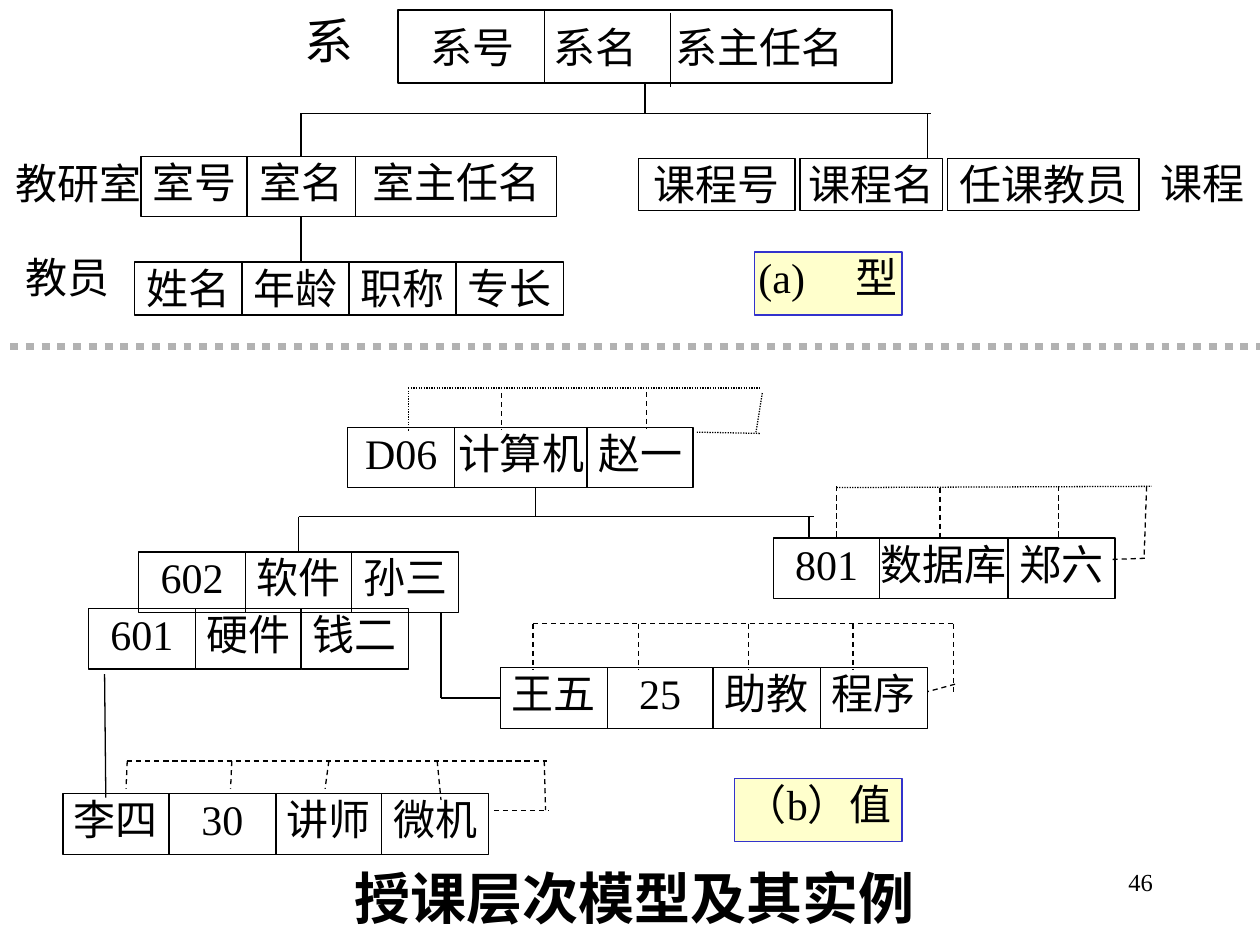
from lxml import etree
from pptx import Presentation
from pptx.dml.color import RGBColor
from pptx.enum.dml import MSO_LINE
from pptx.enum.shapes import MSO_CONNECTOR, MSO_SHAPE
from pptx.enum.text import MSO_ANCHOR, MSO_AUTO_SIZE, PP_ALIGN
from pptx.oxml.ns import qn
from pptx.util import Inches, Pt

FONT = "Times New Roman"
BLACK = "000000"
LEFT, CENTER, RIGHT = PP_ALIGN.LEFT, PP_ALIGN.CENTER, PP_ALIGN.RIGHT
TOP, MIDDLE = MSO_ANCHOR.TOP, MSO_ANCHOR.MIDDLE
DOT, DASH = MSO_LINE.ROUND_DOT, MSO_LINE.DASH
SIDE_TOP, SIDE_LEFT, SIDE_BOTTOM = 0, 1, 2
TITLE_ONLY = 5


def color(hex_code):
    return RGBColor.from_string(hex_code)


def write(shape, text, size=24, align=CENTER, anchor=TOP, bold=False, wrap=True, indent=0, tabs=()):
    frame = shape.text_frame
    frame.auto_size = MSO_AUTO_SIZE.NONE
    frame.word_wrap = wrap
    frame.vertical_anchor = anchor
    frame.margin_left = Inches(indent)
    frame.margin_top = frame.margin_right = frame.margin_bottom = 0
    paragraph = frame.paragraphs[0]
    paragraph.text = text
    paragraph.alignment = align
    if tabs:
        properties = paragraph._p.get_or_add_pPr()
        tab_list = etree.SubElement(properties, qn("a:tabLst"))
        for position, kind in tabs:
            etree.SubElement(tab_list, qn("a:tab"), pos=str(Inches(position)), algn=kind)
    paragraph.font.name = FONT
    paragraph.font.size = Pt(size)
    paragraph.font.bold = bold
    paragraph.font.color.rgb = color(BLACK)


def add_label(slide, left, top, width, height, text, **style):
    label = slide.shapes.add_textbox(Inches(left), Inches(top), Inches(width), Inches(height))
    write(label, text, **style)


def add_box(slide, left, top, width, height, text, fill=None, line=BLACK, **style):
    box = slide.shapes.add_shape(
        MSO_SHAPE.RECTANGLE, Inches(left), Inches(top), Inches(width), Inches(height))
    box.shadow.inherit = False
    if fill:
        box.fill.solid()
        box.fill.fore_color.rgb = color(fill)
    else:
        box.fill.background()
    box.line.color.rgb = color(line)
    box.line.width = Pt(0.75)
    write(box, text, **style)
    return box


def add_caption(slide, left, top, width, text, **style):
    add_box(slide, left, top, width, 0.5, text, fill="FFFFCC", line="3333CC", **style)


def add_record(slide, left, top, height, fields, gap=0):
    boxes = []
    for text, width in fields:
        boxes.append(add_box(slide, left, top, width, height, text, wrap=False))
        left += width + gap
    return boxes


def add_line(slide, x1, y1, x2, y2, dash=None, line=BLACK, weight=0.75, begin=None, end=None):
    connector = slide.shapes.add_connector(
        MSO_CONNECTOR.STRAIGHT, Inches(x1), Inches(y1), Inches(x2), Inches(y2))
    connector.line.color.rgb = color(line)
    connector.line.width = Pt(weight)
    if dash:
        connector.line.dash_style = dash
    etree.SubElement(connector._element.spPr, qn("a:effectLst"))
    if begin:
        connector.begin_connect(*begin)
    if end:
        connector.end_connect(*end)


def add_pointer_chain(slide, left, top, segments):
    for x1, y1, x2, y2, dash in segments:
        add_line(slide, left + x1, top + y1, left + x2, top + y2, dash)


def add_type_region(slide, left, top):
    department = add_box(slide, left + 3.16, top + 0.08, 3.92, 0.58, "系号\t系名\t系主任名",
                         align=LEFT, anchor=MIDDLE, indent=0.26, tabs=((0.97, "l"), (1.94, "l")))
    add_line(slide, left + 4.32, top + 0.08, left + 4.32, top + 0.67)
    add_line(slide, left + 5.32, top + 0.1, left + 5.32, top + 0.69)
    office = add_record(slide, left + 1.12, top + 1.24, 0.48,
                        (("室号", 0.84), ("室名", 0.86), ("室主任名", 1.6)))
    add_record(slide, left + 5.07, top + 1.26, 0.41,
               (("课程号", 1.24), ("课程名", 1.13), ("任课教员", 1.52)), gap=0.04)
    add_record(slide, left + 1.07, top + 2.08, 0.42,
               [(text, 0.85) for text in ("姓名", "年龄", "职称", "专长")])

    add_label(slide, left + 2.32, top + 0.08, 0.58, 0.58, "系", size=28)
    add_label(slide, left, top + 1.25, 1.25, 0.5, "教研室")
    add_label(slide, left + 9.17, top + 1.25, 0.74, 0.34, "课程")
    add_label(slide, left + 0.16, top + 2, 0.75, 0.5, "教员")

    add_line(slide, left + 5.12, top + 0.66, left + 5.12, top + 0.9,
             begin=(department, SIDE_BOTTOM))
    add_line(slide, left + 2.39, top + 0.9, left + 7.39, top + 0.9)
    add_line(slide, left + 2.39, top + 0.9, left + 2.39, top + 1.24, end=(office[1], SIDE_TOP))
    add_line(slide, left + 7.36, top + 0.9, left + 7.36, top + 1.25)
    add_line(slide, left + 2.39, top + 1.72, left + 2.39, top + 2.09,
             begin=(office[1], SIDE_BOTTOM))
    add_caption(slide, left + 5.99, top + 2, 1.17, "(a)\t型",
                align=LEFT, indent=0.03, tabs=((1.1, "r"),))


def add_instance_region(slide, left, top):
    records = {}
    for name, x, y, fields in (
        ("department", 2.76, 0.39, (("D06", 0.85), ("计算机", 1.05), ("赵一", 0.84))),
        ("software", 1.1, 1.38, (("602", 0.85), ("软件", 0.84), ("孙三", 0.85))),
        ("hardware", 0.7, 1.83, (("601", 0.85), ("硬件", 0.84), ("钱二", 0.85))),
        ("course", 6.14, 1.27, (("801", 0.84), ("数据库", 1.02), ("郑六", 0.85))),
        ("assistant", 3.97, 2.3, (("王五", 0.85), ("25", 0.84), ("助教", 0.85), ("程序", 0.85))),
        ("lecturer", 0.5, 3.3, (("李四", 0.84), ("30", 0.85), ("讲师", 0.84), ("微机", 0.85))),
    ):
        records[name] = add_record(slide, left + x, top + y, 0.48, fields)

    add_line(slide, left + 4.25, top + 0.87, left + 4.25, top + 1.1)
    add_line(slide, left + 2.37, top + 1.1, left + 6.46, top + 1.1)
    add_line(slide, left + 2.37, top + 1.1, left + 2.37, top + 1.38,
             end=(records["software"][1], SIDE_TOP))
    add_line(slide, left + 6.42, top + 1.1, left + 6.42, top + 1.26)
    add_line(slide, left + 3.5, top + 1.86, left + 3.5, top + 2.54)
    add_line(slide, left + 3.5, top + 2.54, left + 3.97, top + 2.54,
             end=(records["assistant"][0], SIDE_LEFT))
    add_line(slide, left + 0.83, top + 2.35, left + 0.84, top + 3.33)

    add_pointer_chain(slide, left + 3.24, top + 0.08, (
        (0, 0, 2.79, 0, DOT), (0, 0.02, 0, 0.34, DOT), (2.81, 0.04, 2.76, 0.35, DOT),
        (2.79, 0.36, 2.29, 0.35, DOT), (0.74, 0.04, 0.74, 0.33, DASH),
        (1.89, 0.03, 1.89, 0.32, DASH)))
    add_pointer_chain(slide, left + 6.64, top + 0.86, (
        (0, 0.01, 2.5, 0, DOT), (0, 0, 0, 0.4, DASH), (0.82, 0.01, 0.82, 0.42, DASH),
        (1.76, 0, 1.76, 0.4, DASH), (2.46, 0, 2.44, 0.57, DASH),
        (2.19, 0.58, 2.47, 0.57, DASH)))
    add_pointer_chain(slide, left + 4.23, top + 1.95, (
        (0, 0, 3.36, 0, DASH), *((x, 0, x, 0.37, DASH) for x in (0, 0.84, 1.71, 2.54)),
        (3.34, 0, 3.34, 0.56, DASH), (3.35, 0.48, 3.13, 0.54, DASH)))
    add_pointer_chain(slide, left + 1.01, top + 3.04, (
        (0, 0, 3.33, 0, DASH), (0, 0, -0.01, 0.22, DASH), (0.83, 0, 0.82, 0.22, DASH),
        (1.6, 0, 1.57, 0.22, DASH), (2.46, 0, 2.49, 0.31, DASH),
        (3.31, 0, 3.32, 0.39, DASH), (2.91, 0.39, 3.35, 0.39, DASH)))
    add_caption(slide, left + 5.83, top + 3.18, 1.33, "（b）值", wrap=False)


def add_footer(slide, left, top):
    title = slide.shapes.title
    title.left, title.top = Inches(left + 2.25), Inches(top + 0.05)
    title.width, title.height = Inches(5.57), Inches(0.57)
    write(title, "授课层次模型及其实例", size=32, bold=True)
    add_label(slide, left + 7.17, top + 0.08, 1.98, 0.4, "46", size=14, align=RIGHT)


def main():
    presentation = Presentation()
    presentation.slide_width, presentation.slide_height = Inches(10), Inches(7.5)
    slide = presentation.slides.add_slide(presentation.slide_layouts[TITLE_ONLY])
    add_type_region(slide, 0, 0)
    add_line(slide, 0.08, 2.75, 10.08, 2.75, DOT, "B2B2B2", 4.5)
    add_instance_region(slide, 0, 3)
    add_footer(slide, 0, 6.8)
    presentation.save("out.pptx")


if __name__ == "__main__":
    main()
